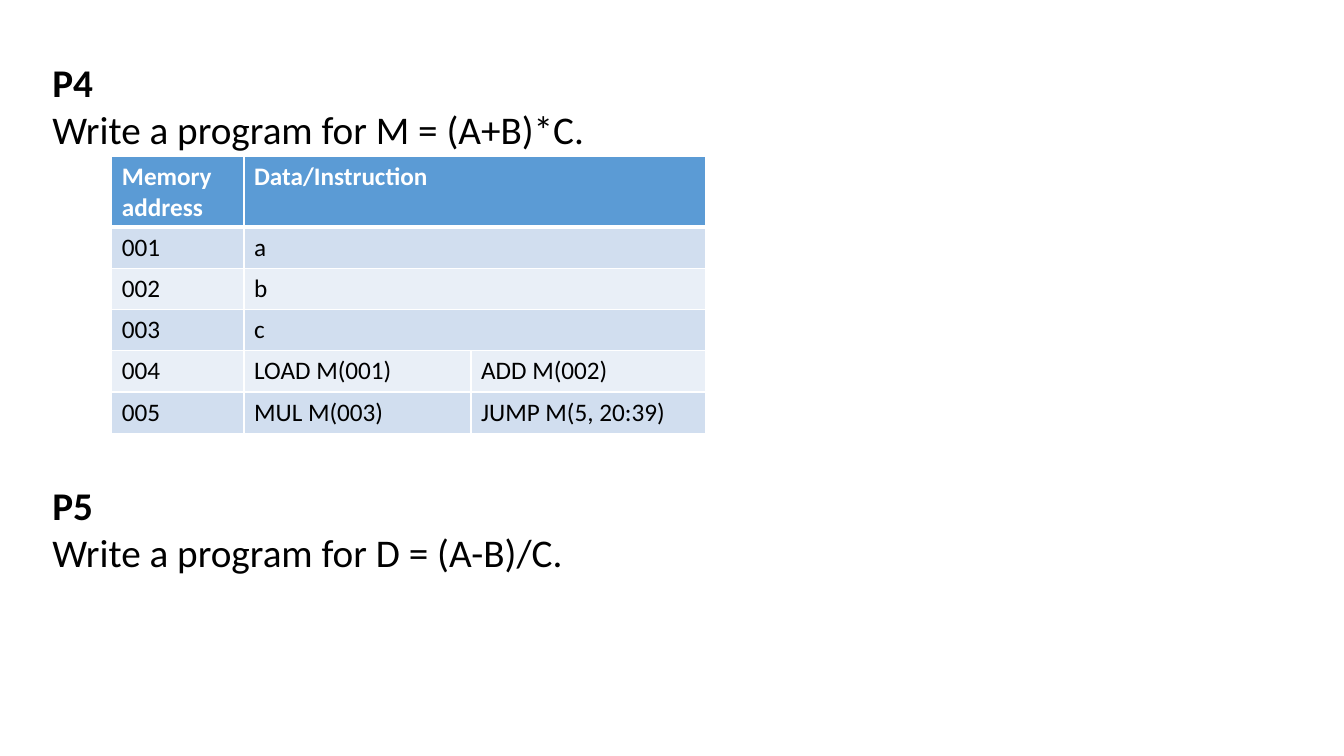
from lxml import etree
from pptx import Presentation
from pptx import util as u
from pptx.dml.color import RGBColor
from pptx.enum import text
from pptx.oxml.ns import qn

BLACK = RGBColor(0x00, 0x00, 0x00)
WHITE = RGBColor(0xFF, 0xFF, 0xFF)
HEADER_BLUE = RGBColor(0x5B, 0x9B, 0xD5)
BANDS = (RGBColor(0xD1, 0xDE, 0xEF), RGBColor(0xE9, 0xEF, 0xF7))


def write(p, content, font="Calibri", size=18, color=BLACK, bold=False, before=0):
    p.alignment = text.PP_ALIGN.LEFT
    p.space_before = u.Pt(before)
    r = p.add_run()
    r.text = content
    r.font.name = font
    r.font.size = u.Pt(size)
    r.font.bold = bold
    r.font.color.rgb = color


def set_borders(cell, **widths):
    tc_pr = cell._tc.get_or_add_tcPr()
    for i, (side, width) in enumerate(widths.items()):
        ln = etree.Element(qn(f"a:ln{side}"), w=str(int(u.Pt(width))))
        fill = etree.SubElement(ln, qn("a:solidFill"))
        etree.SubElement(fill, qn("a:srgbClr"), val=str(WHITE))
        tc_pr.insert(i, ln)


class SlideBuilder:
    thin, thick = 0.96, 3

    def __init__(self, prs):
        self.s = prs.slides.add_slide(prs.slide_layouts[6])

    def text_box(self, left, top, width, height, paragraphs):
        sp = self.s.shapes.add_textbox(*map(u.Cm, (left, top, width, height)))
        tf = sp.text_frame
        tf.word_wrap = True
        for i, (content, style) in enumerate(paragraphs):
            p = tf.add_paragraph() if i else tf.paragraphs[0]
            write(p, content, size=28, **style)

    def table(self, left, top, col_widths, row_heights, rows):
        box = (left, top, sum(col_widths), sum(row_heights))
        table = self.s.shapes.add_table(
            len(rows), len(col_widths), *map(u.Cm, box)).table
        for column, width in zip(table.columns, col_widths):
            column.width = u.Cm(width)
        for i, (values, height) in enumerate(zip(rows, row_heights)):
            table.rows[i].height = u.Cm(height)
            header = i == 0
            for j in range(len(col_widths)):
                cell = table.cell(i, j)
                cell.fill.solid()
                cell.fill.fore_color.rgb = HEADER_BLUE if header else BANDS[(i - 1) % 2]
                set_borders(cell, L=self.thin, R=self.thin,
                            T=self.thick if i == 1 else self.thin,
                            B=self.thick if header else self.thin)
            for j, value in enumerate(values):
                write(table.cell(i, j).text_frame.paragraphs[0], value,
                      color=WHITE if header else BLACK, bold=header)
            if len(values) < len(col_widths):
                table.cell(i, len(values) - 1).merge(table.cell(i, len(col_widths) - 1))


prs = Presentation()
prs.slide_width, prs.slide_height = u.Cm(33.87), u.Cm(19.05)
slide = SlideBuilder(prs)
slide.text_box(1.07, 1.35, 19.3, 14.48, [
    ("P4", {"bold": True}),
    ("Write a program for M = (A+B)*C.", {}),
    ("P5", {"bold": True, "before": 235}),
    ("Write a program for D = (A-B)/C.", {}),
])
memory_rows = [
    ("Memory address", "Data/Instruction"),
    ("001", "a"),
    ("002", "b"),
    ("003", "c"),
    ("004", "LOAD M(001)", "ADD M(002)"),
    ("005", "MUL M(003)", "JUMP M(5, 20:39)"),
]
slide.table(2.82, 3.94, (3.33, 5.72, 5.92), [1.78] + [1.04] * 5, memory_rows)
prs.save("out.pptx")
